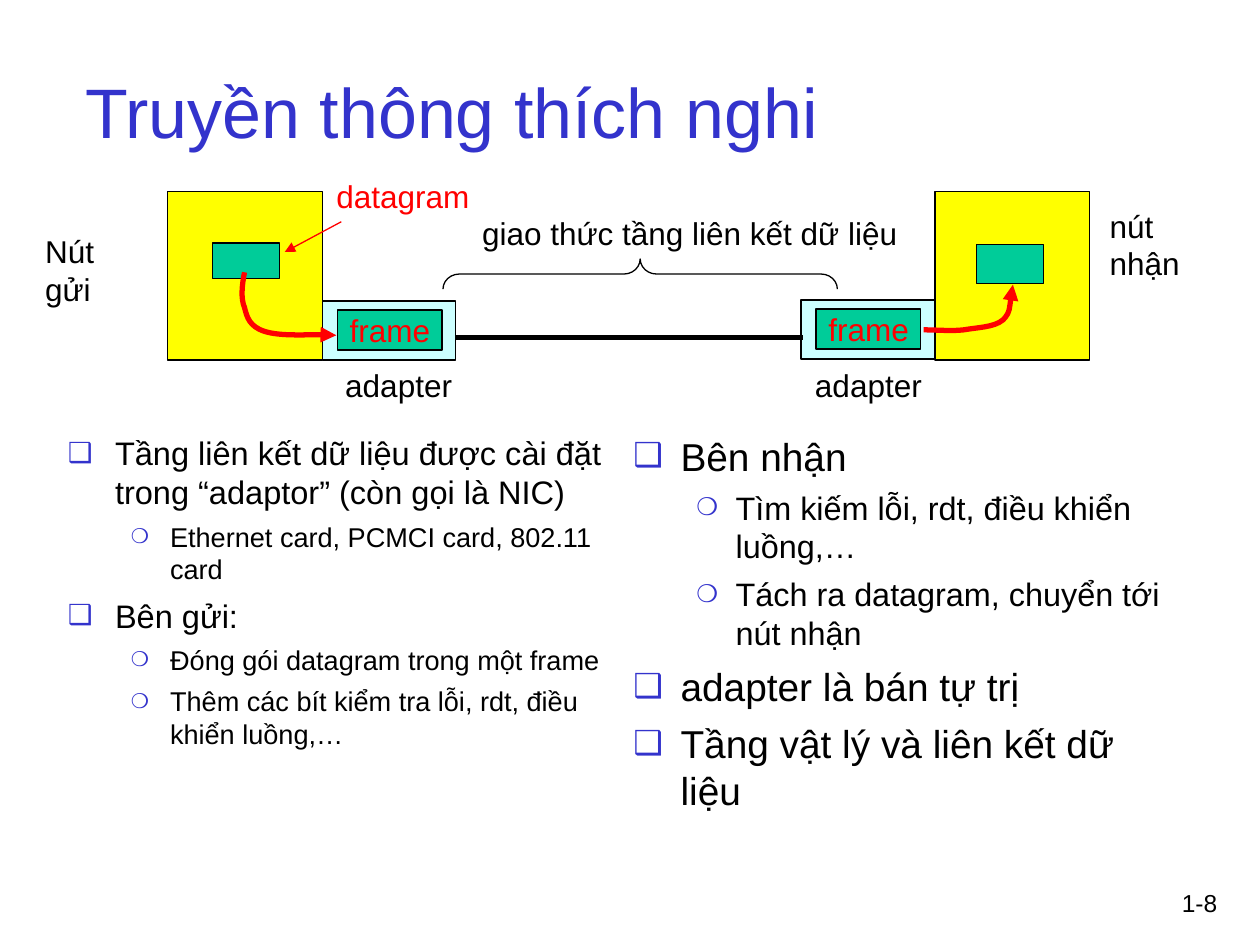
from typing import NamedTuple

from lxml import etree
from pptx import Presentation
from pptx import util as u
from pptx.dml.color import RGBColor
from pptx.enum import shapes, text
from pptx.oxml import ns

Cm, Pt = u.Cm, u.Pt
BLACK = RGBColor(0x00, 0x00, 0x00)
RED = RGBColor(0xFF, 0x00, 0x00)
BLUE = RGBColor(0x33, 0x33, 0xCC)
YELLOW = RGBColor(0xFF, 0xFF, 0x00)
GREEN = RGBColor(0x00, 0xCC, 0x99)
CYAN = RGBColor(0xCC, 0xFF, 0xFF)
FONT = "Arial"
LEFT, RIGHT = text.PP_ALIGN.LEFT, text.PP_ALIGN.RIGHT


class Box(NamedTuple):
    """Left, top, width and height in centimetres."""
    left: float
    top: float
    width: float
    height: float

    def lengths(self) -> list:
        return [Cm(value) for value in self]


class Label(NamedTuple):
    words: str
    box: Box
    size: float = 18
    color: RGBColor = BLACK
    align: text.PP_ALIGN = LEFT
    anchor: text.MSO_ANCHOR = text.MSO_ANCHOR.TOP
    wrap: bool = True


class BulletStyle(NamedTuple):
    char: str
    percent: int
    margin: float
    hanging: float
    before: float


class Column(NamedTuple):
    """Bulleted text: (level, words) items and one text size per level."""
    box: Box
    sizes: tuple
    items: list


class Node(NamedTuple):
    body: Box
    datagram: Box
    adapter: Box


BULLETS = [BulletStyle("❑", 85, 0.95, 0.95, 6), BulletStyle("❍", 75, 2.06, 0.79, 5)]

LABELS = [
    Label("1-8", Box(23.06, 17.78, 1.73, 1.27), 14, align=RIGHT),
    Label("Truyền thông thích nghi", Box(1.47, 0.64, 21.59, 3.18), 40, BLUE,
          anchor=text.MSO_ANCHOR.MIDDLE),
    Label("Nút\ngửi", Box(0.66, 4.55, 1.5, 1.78), wrap=False),
    Label("nút\nnhận", Box(22.12, 4.04, 1.95, 1.78), wrap=False),
    Label("datagram", Box(6.53, 3.45, 3.25, 1.02), color=RED, wrap=False),
    Label("giao thức tầng liên kết dữ liệu", Box(9.47, 4.19, 8.95, 1.02), wrap=False),
    Label("adapter", Box(6.71, 7.26, 2.67, 1.02), wrap=False),
    Label("adapter", Box(16.18, 7.26, 2.67, 1.02), wrap=False),
]

COLUMNS = [
    Column(Box(1.12, 8.61, 11.3, 8.41), (18.6, 15.5), [
        (0, "Tầng liên kết dữ liệu được cài đặt trong “adaptor” (còn gọi là NIC)"),
        (1, "Ethernet card, PCMCI card, 802.11 card"),
        (0, "Bên gửi:"),
        (1, "Đóng gói datagram trong một frame"),
        (1, "Thêm các bít kiểm tra lỗi, rdt, điều khiển luồng,…"),
    ]),
    Column(Box(12.52, 8.59, 11.35, 8.31), (22.2, 18.5), [
        (0, "Bên nhận"),
        (1, "Tìm kiếm lỗi, rdt, điều khiển luồng,…"),
        (1, "Tách ra datagram, chuyển tới nút nhận"),
        (0, "adapter là bán tự trị"),
        (0, "Tầng vật lý và liên kết dữ liệu"),
    ]),
]

NODES = [
    Node(Box(3.38, 3.86, 3.12, 3.4), Box(4.29, 4.9, 1.35, 0.71), Box(6.5, 6.07, 2.69, 1.19)),
    Node(Box(18.85, 3.86, 3.12, 3.4), Box(19.69, 4.93, 1.35, 0.79), Box(16.15, 6.05, 2.69, 1.19)),
]

# Start point, then two control points and an end point for each curve
SEND_CURVE = [(4.93, 5.49), (4.88, 5.74), (4.85, 6.02), (4.93, 6.2),
              (4.98, 6.4), (5.03, 6.58), (5.33, 6.68),
              (5.64, 6.78), (6.53, 6.73), (6.78, 6.76)]
RECEIVE_CURVE = [(18.62, 6.65), (18.9, 6.65), (19.18, 6.68), (19.43, 6.65),
                 (19.71, 6.6), (20.04, 6.6), (20.22, 6.45),
                 (20.37, 6.3), (20.4, 5.84), (20.42, 5.74)]


def add_element(parent, tag: str, **attributes):
    return etree.SubElement(parent, ns.qn(tag), attributes)


def style_font(font, size: float, color: RGBColor) -> None:
    font.name, font.size = FONT, Pt(size)
    font.color.rgb = color


def style_line(shape, color: RGBColor, width: float, arrow: bool = False) -> None:
    shape.line.color.rgb = color
    shape.line.width = Pt(width)
    if arrow:
        add_element(shape.line._get_or_add_ln(), "a:tailEnd", type="triangle")


def add_label(page, label: Label) -> None:
    frame = page.shapes.add_textbox(*label.box.lengths()).text_frame
    frame.text = label.words
    frame.word_wrap = label.wrap
    if not label.wrap:
        frame.auto_size = text.MSO_AUTO_SIZE.SHAPE_TO_FIT_TEXT
    frame.vertical_anchor = label.anchor
    for para in frame.paragraphs:
        para.alignment = label.align
        style_font(para.runs[0].font, label.size, label.color)


def add_bullet(para, style: BulletStyle) -> None:
    properties = para._p.get_or_add_pPr()
    properties.set("marL", str(Cm(style.margin)))
    properties.set("indent", str(-Cm(style.hanging)))
    color = add_element(properties, "a:buClr")
    add_element(color, "a:srgbClr", val=str(BLUE))
    add_element(properties, "a:buSzPct", val=str(style.percent * 1000))
    add_element(properties, "a:buFont", typeface=FONT)
    add_element(properties, "a:buChar", char=style.char)


def add_column(page, column: Column) -> None:
    frame = page.shapes.add_textbox(*column.box.lengths()).text_frame
    frame.word_wrap = True
    frame.text = "\n".join(words for _, words in column.items)
    for index, (para, (level, _)) in enumerate(zip(frame.paragraphs, column.items)):
        para.level = level
        add_bullet(para, BULLETS[level])
        if index:
            para.space_before = Pt(BULLETS[level].before)
        style_font(para.runs[0].font, column.sizes[level], BLACK)


def add_rectangle(parent, box: Box, fill: RGBColor):
    shape = parent.shapes.add_shape(shapes.MSO_SHAPE.RECTANGLE, *box.lengths())
    shape.shadow.inherit = False
    shape.fill.solid()
    shape.fill.fore_color.rgb = fill
    style_line(shape, BLACK, 0.75)
    return shape


def add_node(page, node: Node) -> None:
    add_rectangle(page, node.body, YELLOW)
    add_rectangle(page, node.datagram, GREEN)
    group = page.shapes.add_group_shape()
    add_rectangle(group, node.adapter, CYAN)
    frame_box = Box(node.adapter.left + 0.3, node.adapter.top + 0.18, 2.11, 0.81)
    frame = add_rectangle(group, frame_box, GREEN).text_frame
    frame.text = "frame"
    frame.word_wrap = False
    style_font(frame.paragraphs[0].runs[0].font, 18, RED)


def add_line(page, start: tuple, end: tuple, color: RGBColor, width: float, arrow=False) -> None:
    ends = [Cm(value) for value in start + end]
    line = page.shapes.add_connector(shapes.MSO_CONNECTOR.STRAIGHT, *ends)
    style_line(line, color, width, arrow)
    add_element(line._element.spPr, "a:effectLst")


def add_curved_arrow(page, points: list) -> None:
    """Draw the points as cubic curves ending in an arrowhead."""
    start, *rest = [(Cm(x), Cm(y)) for x, y in points]
    builder = page.shapes.build_freeform(*start)
    builder.add_line_segments(rest, close=False)
    curve = builder.convert_to_shape()
    segments = curve._element.xpath(".//a:lnTo")
    for first in range(0, len(segments), 3):
        bezier = etree.Element(ns.qn("a:cubicBezTo"))
        segments[first].addprevious(bezier)
        for segment in segments[first:first + 3]:
            bezier.append(segment[0])
            segment.getparent().remove(segment)
    curve.shadow.inherit = False
    curve.fill.background()
    style_line(curve, RED, 3, arrow=True)


def add_brace(page) -> None:
    box = Box(12.6, 1.55, 0.61, 7.95)
    brace = page.shapes.add_shape(shapes.MSO_SHAPE.LEFT_BRACE, *box.lengths())
    brace.rotation = 90
    brace.adjustments[0] = 0.54
    brace.shadow.inherit = False
    brace.fill.background()
    style_line(brace, BLACK, 0.75)


def main() -> None:
    deck = Presentation()
    deck.slide_width, deck.slide_height = Cm(25.4), Cm(19.05)
    page = deck.slides.add_slide(deck.slide_layouts[6])
    for node in NODES:
        add_node(page, node)
    add_line(page, (9.17, 6.81), (16.18, 6.81), BLACK, 3)
    add_line(page, (6.88, 4.47), (5.74, 5.08), RED, 0.75, arrow=True)
    add_brace(page)
    for points in (SEND_CURVE, RECEIVE_CURVE):
        add_curved_arrow(page, points)
    for label in LABELS:
        add_label(page, label)
    for column in COLUMNS:
        add_column(page, column)
    deck.save("out.pptx")


if __name__ == "__main__":
    main()
